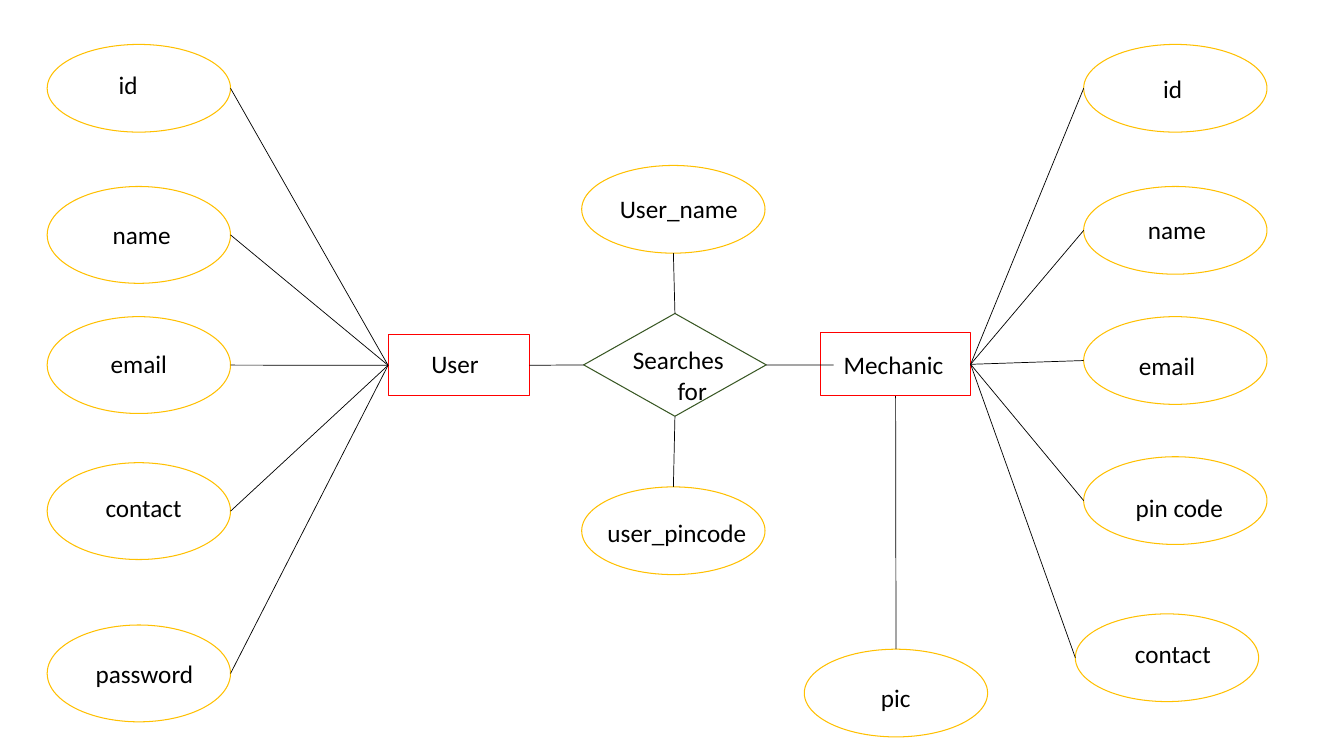
from dataclasses import dataclass

from lxml.etree import SubElement
from pptx import Presentation
from pptx.dml.color import RGBColor
from pptx.enum.shapes import MSO_CONNECTOR, MSO_SHAPE
from pptx.enum.text import MSO_AUTO_SIZE, PP_ALIGN
from pptx.oxml.ns import qn
from pptx.util import Cm, Pt


@dataclass(frozen=True)
class Theme:
    font: str = "Calibri"
    text_size: float = 18
    outline_width: float = 0.75
    link_width: float = 0.5
    ink: str = "000000"
    entity: str = "FF0000"
    attribute: str = "FFC000"
    relation: str = "385723"


TOP, BOTTOM, LEFT, RIGHT = (0.5, 0), (0.5, 1), (0, 0.5), (1, 0.5)
ELLIPSE_WIDTH, LOW, TALL = 4.62, 2.21, 2.44
LABEL_HEIGHT = 1.02

USER_ATTRIBUTES = [
    ("id", (1.19, 1.12), LOW, (2.74, 1.63, 1.75)),
    ("name", (1.19, 4.7), TALL, (2.59, 5.41, 2.54)),
    ("email", (1.19, 7.98), TALL, (2.54, 8.66, 2.54)),
    ("contact", (1.19, 11.66), TALL, (2.41, 12.27, 2.54)),
    ("password", (1.19, 15.75), TALL, (2.16, 16.46, 3.07)),
]
MECHANIC_ATTRIBUTES = [
    ("id", (27.31, 1.12), LOW, (29.06, 1.73, 1.75)),
    ("name", (27.31, 4.7), LOW, (28.68, 5.28, 2.54)),
    ("email", (27.31, 7.98), LOW, (28.45, 8.71, 2.54)),
    ("pin code", (27.31, 11.51), LOW, (28.37, 12.27, 2.84)),
    ("contact", (27.1, 15.47), LOW, (28.35, 15.95, 3.07)),
]
MECHANIC_PICTURE = [("pic", (20.27, 16.36), LOW, (21.95, 17.07, 1.91))]
SEARCH_NAME = [("User_name", (14.66, 4.17), LOW, (15.37, 4.75, 3.66))]
SEARCH_PINCODE = [("user_pincode", (14.66, 12.27), LOW, (15.06, 12.9, 4.34))]


def write_text(frame, text, *, font, size, color, align=PP_ALIGN.LEFT, hanging=0):
    frame.word_wrap = True
    frame.auto_size = MSO_AUTO_SIZE.SHAPE_TO_FIT_TEXT
    paragraph = frame.paragraphs[0]
    paragraph.alignment = align
    if hanging:
        properties = paragraph._p.get_or_add_pPr()
        properties.set("marL", str(Cm(hanging)))
        properties.set("indent", str(-Cm(hanging)))
    run = paragraph.add_run()
    run.text = text
    run.font.name = font
    run.font.size = Pt(size)
    run.font.color.rgb = RGBColor.from_string(color)


def anchor(shape, side):
    across, down = side
    return (
        int(shape.left + shape.width * across),
        int(shape.top + shape.height * down),
    )


class Diagram:
    def __init__(self, slide, theme):
        self.slide = slide
        self.theme = theme

    def outline(self, kind, box, color):
        shape = self.slide.shapes.add_shape(kind, *map(Cm, box))
        shape.shadow.inherit = False
        shape.fill.background()
        shape.line.color.rgb = RGBColor.from_string(color)
        shape.line.width = Pt(self.theme.outline_width)
        return shape

    def label(self, text, box, **text_format):
        text_box = self.slide.shapes.add_textbox(*map(Cm, box))
        theme = self.theme
        write_text(text_box.text_frame, text, font=theme.font,
                   size=theme.text_size, color=theme.ink, **text_format)

    def node(self, kind, text, box, color, label_box, **text_format):
        shape = self.outline(kind, box, color)
        self.label(text, label_box, **text_format)
        return shape

    def link(self, start, end):
        connector = self.slide.shapes.add_connector(
            MSO_CONNECTOR.STRAIGHT, *start, *end)
        connector.line.color.rgb = RGBColor.from_string(self.theme.ink)
        connector.line.width = Pt(self.theme.link_width)
        SubElement(connector._element.spPr, qn("a:effectLst"))

    def attributes(self, rows, side, owner, owner_side):
        for text, corner, height, label_place in rows:
            ellipse = self.node(
                MSO_SHAPE.OVAL, text, (*corner, ELLIPSE_WIDTH, height),
                self.theme.attribute, (*label_place, LABEL_HEIGHT))
            self.link(anchor(ellipse, side), anchor(owner, owner_side))


def main():
    presentation = Presentation()
    presentation.slide_width = Cm(33.87)
    presentation.slide_height = Cm(19.05)
    slide = presentation.slides.add_slide(presentation.slide_layouts[6])
    theme = Theme()
    diagram = Diagram(slide, theme)

    user = diagram.node(
        MSO_SHAPE.RECTANGLE, "User", (9.78, 8.43, 3.56, 1.55),
        theme.entity, (10.62, 8.66, 1.75, LABEL_HEIGHT))
    mechanic = diagram.node(
        MSO_SHAPE.RECTANGLE, "Mechanic", (20.68, 8.38, 3.78, 1.6),
        theme.entity, (21.01, 8.69, 3.18, LABEL_HEIGHT))
    search = diagram.node(
        MSO_SHAPE.FLOWCHART_DECISION, "Searches for", (14.71, 7.9, 4.6, 2.59),
        theme.relation, (15.57, 8.56, 3.05, 1.8),
        align=PP_ALIGN.CENTER, hanging=0.7)

    diagram.attributes(USER_ATTRIBUTES, RIGHT, user, LEFT)
    diagram.attributes(MECHANIC_ATTRIBUTES, LEFT, mechanic, RIGHT)
    diagram.attributes(MECHANIC_PICTURE, TOP, mechanic, BOTTOM)
    diagram.attributes(SEARCH_NAME, BOTTOM, search, TOP)
    diagram.attributes(SEARCH_PINCODE, TOP, search, BOTTOM)

    diagram.link(anchor(search, LEFT), anchor(user, RIGHT))
    diagram.link((Cm(21.01), Cm(9.2)), anchor(search, RIGHT))

    presentation.save("out.pptx")


if __name__ == "__main__":
    main()
